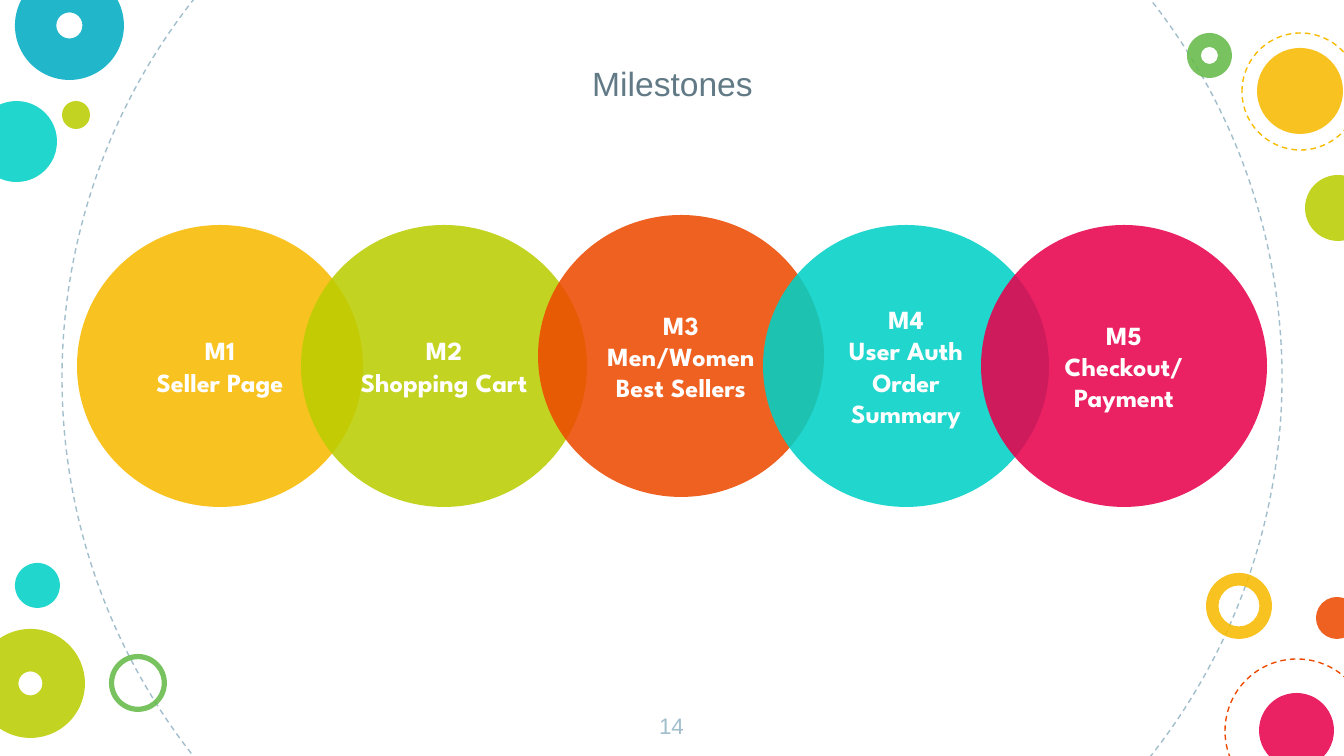
import pptx
import pptx.util
import pptx.dml.color
import pptx.enum.dml
import pptx.enum.shapes
import pptx.enum.text
import pptx.oxml
import pptx.oxml.ns

PX = 914400 / 134.4
INSET = pptx.util.Inches(0.1)
ALPHA = 87000

COLORS = {
    "yellow": "F8BB00", "lime": "BBCD00", "orange": "ED4A00",
    "teal": "00D1C6", "pink": "E8004C", "blue": "00ACC3",
    "green": "65BB48", "mist": "A1BECC", "slate": "617A86", "white": "FFFFFF",
}

# Dashed rings: left, top, diameter, colour
RINGS = [
    (62, -232, 1220, "mist"),
    (1225, 659, 144, "orange"),
    (1242, 33, 117, "yellow"),
]

# Corner dots: left, top, diameter, colour, donut thickness (None for a disc)
DOTS = [
    (-24, 101, 81, "teal", None),
    (1206, 573, 66, "yellow", 0.19),
    (15, -29, 109, "blue", 0.38),
    (62, 101, 28, "lime", None),
    (109, 654, 58, "green", 0.09),
    (1316, 597, 42, "orange", None),
    (-24, 629, 109, "lime", 0.39),
    (1259, 693, 75, "pink", None),
    (1187, 33, 45, "green", 0.31),
    (1257, 48, 86, "yellow", None),
    (1305, 175, 66, "lime", None),
    (15, 563, 45, "teal", None),
]

# Milestones: left, top, colour, lines
MILESTONE_SIZE = (286, 282)
MILESTONES = [
    (77, 225, "yellow", ["M1", "Seller Page"]),
    (301, 225, "lime", ["M2", "Shopping Cart"]),
    (538, 215, "orange", ["M3", "Men/Women", "Best Sellers"]),
    (763, 225, "teal", ["M4", "User Auth", "Order Summary"]),
    (981, 225, "pink", ["M5", "Checkout/Payment"]),
]


def px(n):
    return pptx.util.Emu(round(n * PX))


def rgb(name):
    return pptx.dml.color.RGBColor.from_string(COLORS[name])


def add_round(s, left, top, width, height, fill=None, line=None, donut=None):
    kinds = pptx.enum.shapes.MSO_SHAPE
    sp = s.shapes.add_shape(kinds.OVAL if donut is None else kinds.DONUT,
                            px(left), px(top), px(width), px(height))
    sp.shadow.inherit = False
    if donut is not None:
        sp.adjustments[0] = donut
    if fill:
        sp.fill.solid()
        sp.fill.fore_color.rgb = rgb(fill)
        clr = sp.fill._xPr.find(".//" + pptx.oxml.ns.qn("a:srgbClr"))
        clr.append(pptx.oxml.parse_xml(
            f'<a:alpha {pptx.oxml.ns.nsdecls("a")} val="{ALPHA}"/>'))
    else:
        sp.fill.background()
    if line:
        sp.line.color.rgb = rgb(line)
        sp.line.width = pptx.util.Pt(0.75)
        sp.line.dash_style = pptx.enum.dml.MSO_LINE.DASH
    else:
        sp.line.fill.background()
    return sp


def write(sp, lines, font, size, color, anchor, bold=False):
    tf = sp.text_frame
    tf.word_wrap = True
    tf.auto_size = pptx.enum.text.MSO_AUTO_SIZE.NONE
    tf.vertical_anchor = anchor
    tf.margin_left = tf.margin_right = tf.margin_top = tf.margin_bottom = INSET
    for i, text in enumerate(lines):
        p = tf.paragraphs[0] if i == 0 else tf.add_paragraph()
        p.alignment = pptx.enum.text.PP_ALIGN.CENTER
        p.space_before = pptx.util.Pt(0)
        r = p.add_run()
        r.text = text
        r.font.name = font
        r.font.size = pptx.util.Pt(size)
        r.font.bold = bold
        r.font.color.rgb = rgb(color)


def main():
    anchors = pptx.enum.text.MSO_ANCHOR
    prs = pptx.Presentation()
    prs.slide_width, prs.slide_height = px(1344), px(756)
    s = prs.slides.add_slide(prs.slide_layouts[5])

    # Background decoration
    for left, top, size, color in RINGS:
        add_round(s, left, top, size, size, line=color)
    for left, top, size, color, donut in DOTS:
        add_round(s, left, top, size, size, fill=color, donut=donut)

    # Title
    title = s.shapes.title
    title.left, title.top, title.width, title.height = map(px, (285, 23, 775, 94))
    write(title, ["Milestones"], "Arial", 18, "slate", anchors.BOTTOM)

    # Slide number
    number = s.shapes.add_textbox(*map(px, (637, 699, 69, 57)))
    write(number, ["14"], "Arial", 12, "mist", anchors.TOP)

    # Overlapping milestone circles
    for left, top, color, lines in MILESTONES:
        sp = add_round(s, left, top, *MILESTONE_SIZE, fill=color)
        write(sp, lines, "League Spartan", 14, "white", anchors.MIDDLE, bold=True)

    prs.save("out.pptx")


if __name__ == "__main__":
    main()
